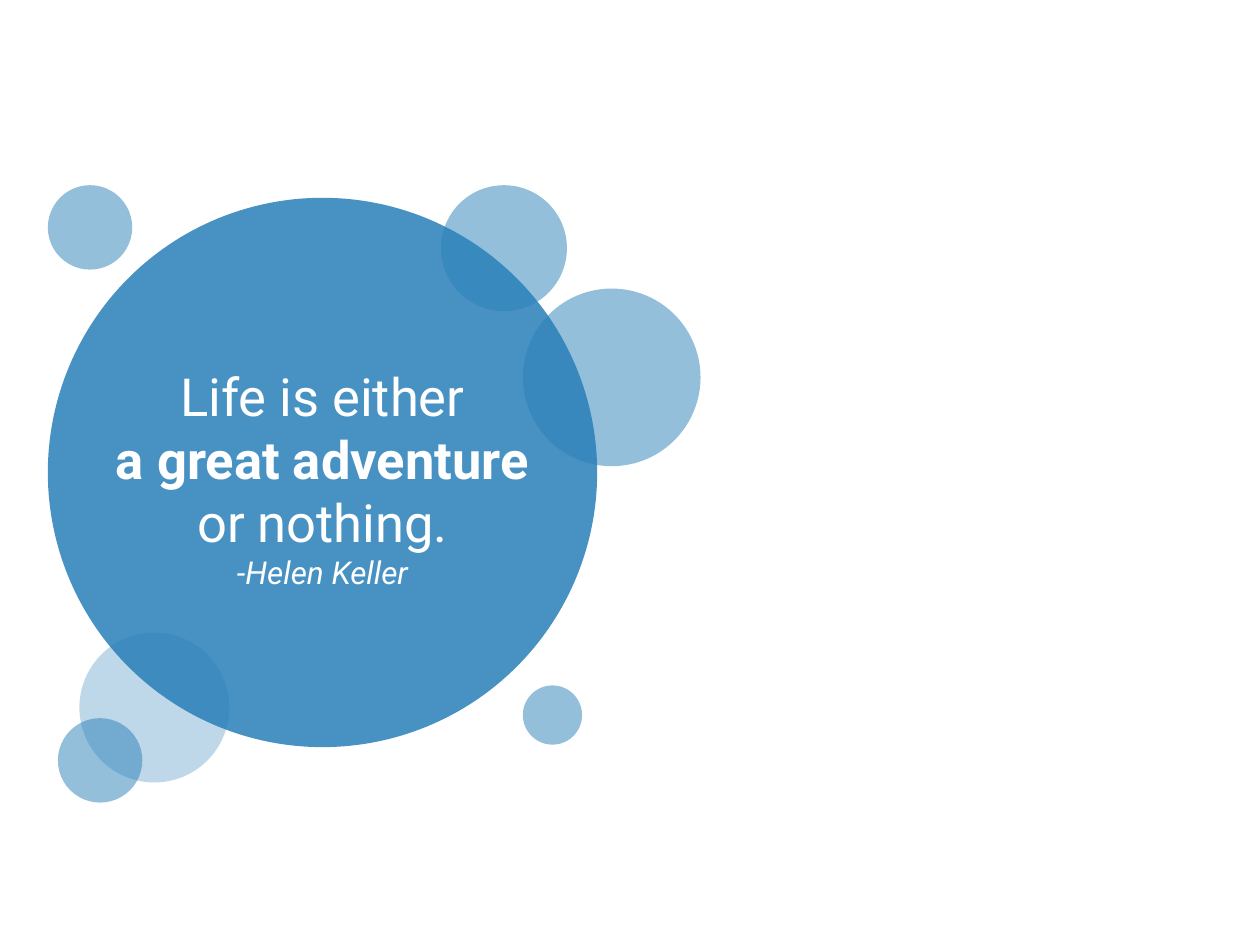
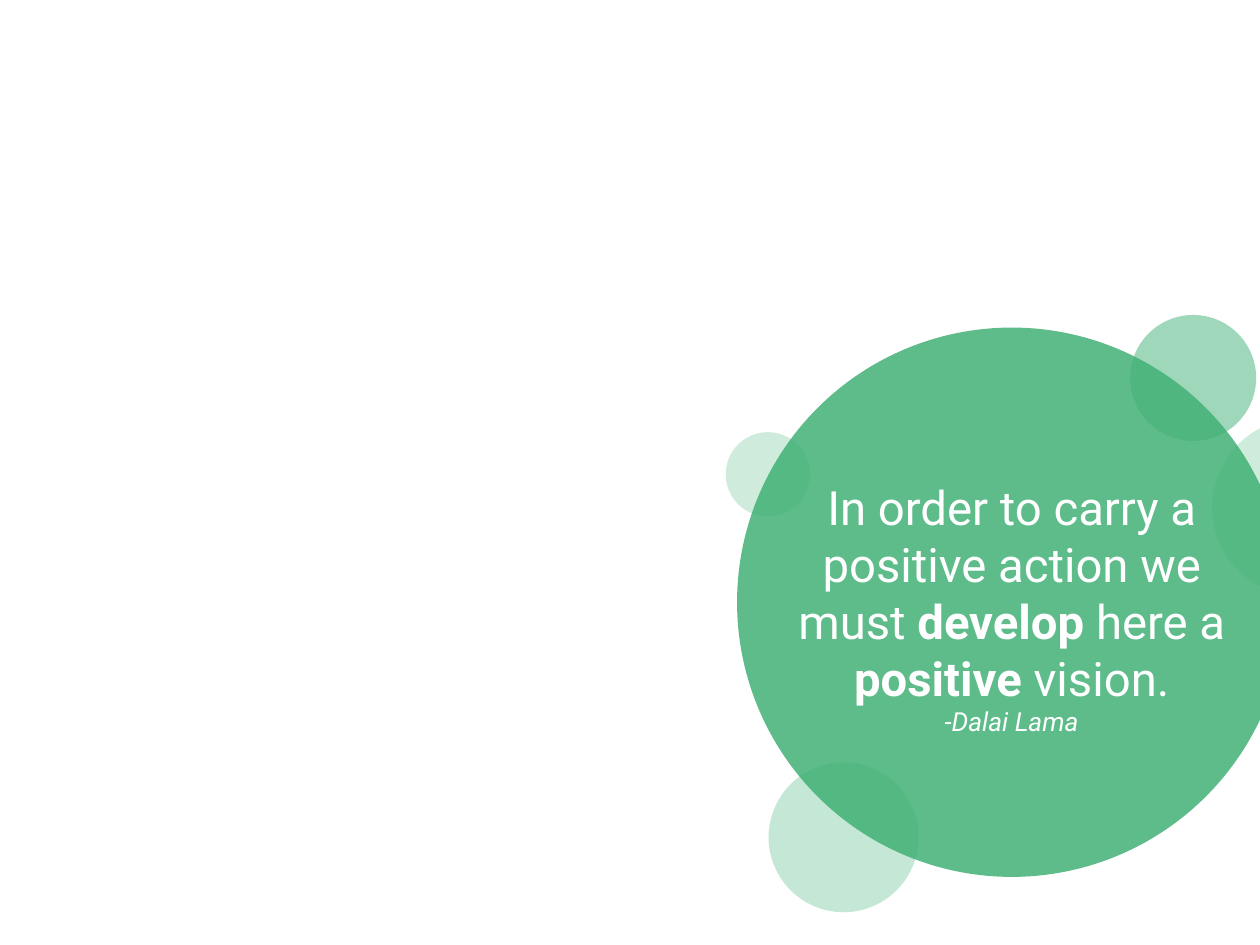
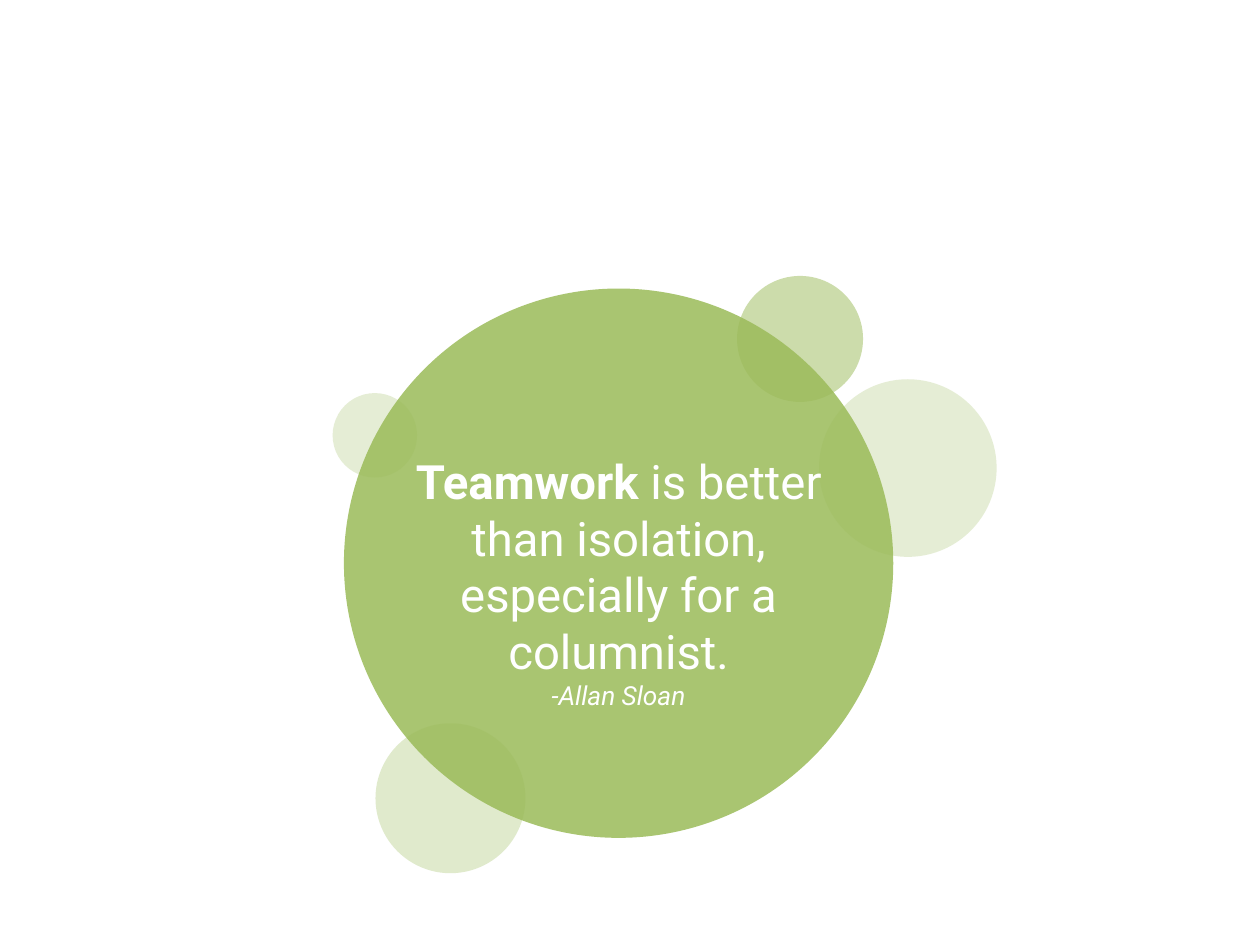
from lxml.etree import SubElement
from pptx import Presentation
from pptx.dml.color import RGBColor
from pptx.enum.shapes import MSO_SHAPE
from pptx.enum.text import MSO_AUTO_SIZE, PP_ALIGN
from pptx.oxml.ns import qn
from pptx.util import Inches, Pt

FONT = "Roboto"
WHITE = "FFFFFF"
BLUE, GREEN, OLIVE = "2980B9", "41B176", "9BBB59"
DISC = 4.36
QUOTE_INDENT = 0.3
QUOTE_WIDTH = 3.76

TOP_BUBBLE = (3.12, -0.1, 1, 50)
MAIN_DISC = (0, 0, DISC, 85)
LOWER_BUBBLE = (0.25, 3.45, 1.19, 30)
PALE_SIDES = [(3.77, 0.72, 1.41, 25), (-0.09, 0.83, 0.67, 25)]
STRONG_SIDES = [
    (3.77, 0.72, 1.41, 50),
    (0, -0.1, 0.67, 50),
    (0.08, 4.13, 0.67, 50),
    (3.77, 3.87, 0.47, 50),
]


def color(code):
    """Turn a hex string into a colour."""
    return RGBColor.from_string(code)


def add_bubble(page, left, top, size, fill, opacity):
    """Draw one translucent circle without an outline."""
    bubble = page.shapes.add_shape(
        MSO_SHAPE.OVAL, Inches(left), Inches(top), Inches(size), Inches(size)
    )
    bubble.shadow.inherit = False
    bubble.line.fill.background()
    bubble.fill.solid()
    bubble.fill.fore_color.rgb = color(fill)
    tint = bubble.fill._xPr.find(qn("a:solidFill"))[0]
    SubElement(tint, qn("a:alpha"), val=str(opacity * 1000))


def add_cluster(page, left, top, fill, sides):
    """Draw the main disc and the bubbles placed relative to its corner."""
    for dx, dy, size, opacity in [TOP_BUBBLE, MAIN_DISC, LOWER_BUBBLE, *sides]:
        add_bubble(page, left + dx, top + dy, size, fill, opacity)


def style_paragraph(para, size, italic=False):
    """Centre a paragraph and give it the white quote font."""
    para.alignment = PP_ALIGN.CENTER
    para.font.name = FONT
    para.font.size = Pt(size)
    para.font.italic = italic
    para.font.color.rgb = color(WHITE)


def add_quote(page, left, top, height, size, lines, author):
    """Write a quote, with asterisks around bold words, and its author."""
    box = page.shapes.add_textbox(
        Inches(left), Inches(top), Inches(QUOTE_WIDTH), Inches(height)
    )
    frame = box.text_frame
    frame.word_wrap = True
    frame.auto_size = MSO_AUTO_SIZE.SHAPE_TO_FIT_TEXT
    para = frame.paragraphs[0]
    for line in lines:
        style_paragraph(para, size)
        for index, words in enumerate(line.split("*")):
            if words:
                span = para.add_run()
                span.text = words
                span.font.bold = index % 2 == 1
        para = frame.add_paragraph()
    para.text = author
    style_paragraph(para, size - 12, italic=True)


def add_quote_page(deck, left, top, fill, sides, drop, height, size, lines, author):
    """Add a page with a bubble cluster and the quote inside its disc."""
    page = deck.slides.add_slide(deck.slide_layouts[6])
    add_cluster(page, left, top, fill, sides)
    add_quote(page, left + QUOTE_INDENT, top + drop, height, size, lines, author)


def main():
    """Build the three quote pages."""
    deck = Presentation()
    deck.slide_width, deck.slide_height = Inches(10), Inches(7.5)
    add_quote_page(
        deck, 0.38, 1.57, BLUE, STRONG_SIDES, 1.27, 2.42, 30,
        ["Life is either", "*a great adventure*", "or nothing."],
        "-Helen Keller",
    )
    add_quote_page(
        deck, 5.85, 2.6, GREEN, PALE_SIDES, 1.15, 2.17, 27,
        ["In order to carry a positive action we must *develop* here a *positive* vision."],
        "-Dalai Lama",
    )
    add_quote_page(
        deck, 2.73, 2.29, OLIVE, PALE_SIDES, 1.25, 2.17, 27,
        ["*Teamwork* is better than isolation, especially for a columnist."],
        "-Allan Sloan",
    )
    deck.save("out.pptx")


if __name__ == "__main__":
    main()
